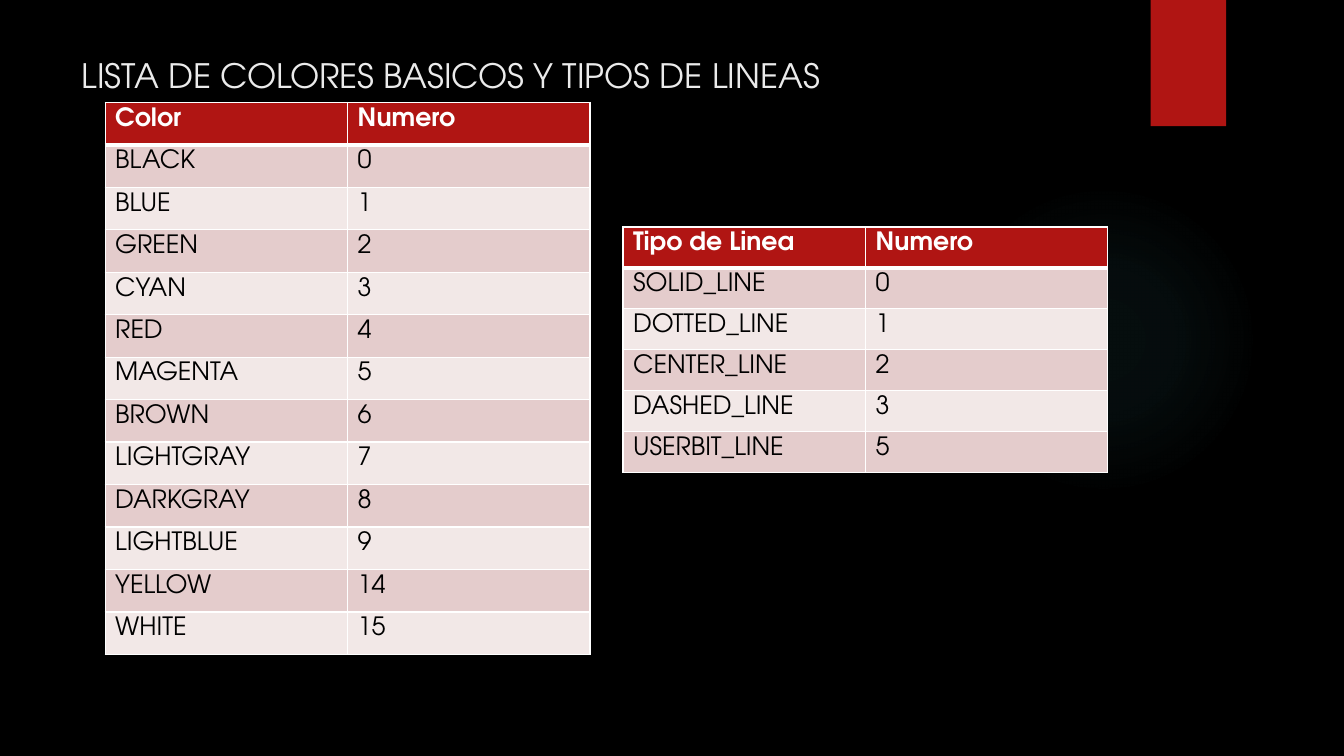
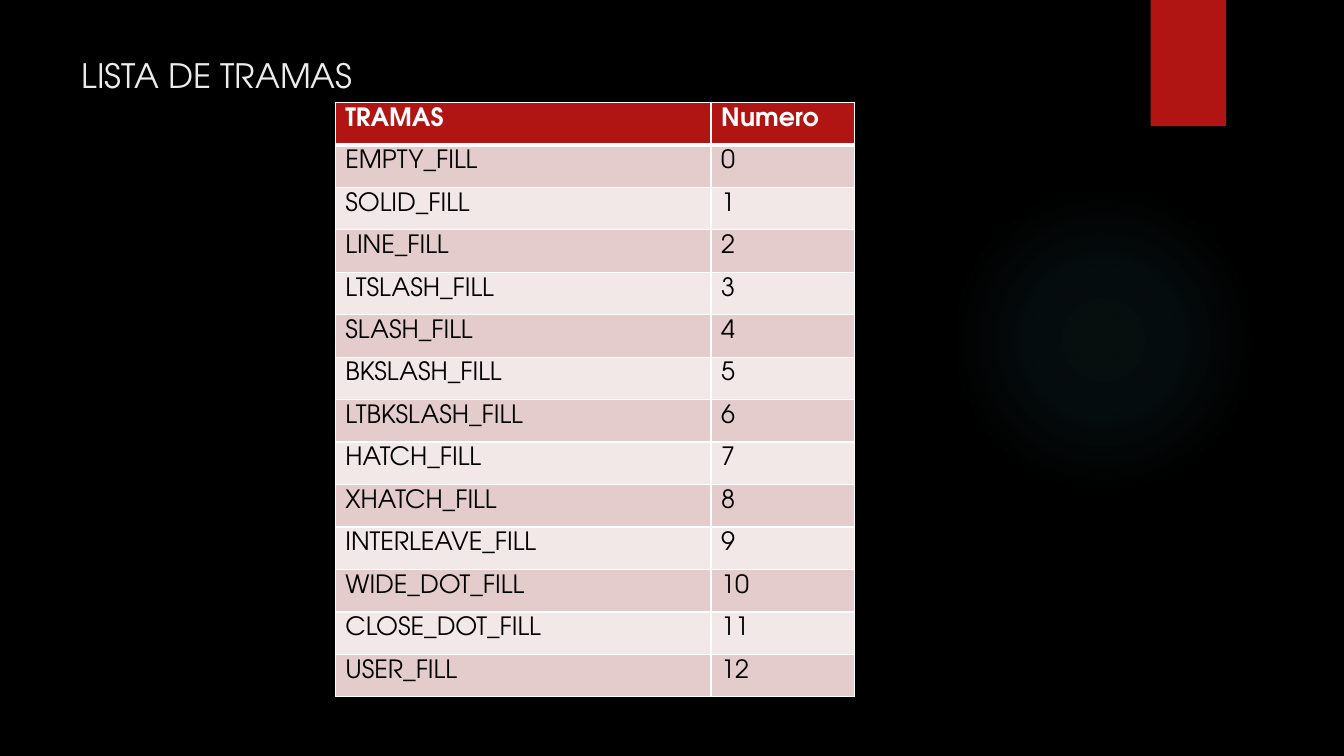
from lxml.etree import SubElement
from pptx import Presentation
from pptx.dml.color import RGBColor
from pptx.enum.shapes import MSO_SHAPE
from pptx.enum.text import MSO_ANCHOR, PP_ALIGN
from pptx.oxml import parse_xml
from pptx.oxml.ns import nsdecls, qn
from pptx.util import Cm, Pt

BLACK = RGBColor(0x00, 0x00, 0x00)
WHITE = RGBColor(0xFF, 0xFF, 0xFF)
TITLE_GRAY = RGBColor(0xEB, 0xEB, 0xEB)
RED = RGBColor(0xB0, 0x15, 0x13)
DARK_BAND = RGBColor(0xE4, 0xCC, 0xCC)
LIGHT_BAND = RGBColor(0xF2, 0xE8, 0xE7)
GLOW = RGBColor(0x50, 0xB9, 0xC1)
GLOW_STOPS = ((0, 7), (36, 6), (69, 0))  # position and opacity, in percent
FONT = "TeX Gyre Adventor"

COLORS = [
    ("Color", "Numero"),
    ("BLACK", "0"),
    ("BLUE", "1"),
    ("GREEN", "2"),
    ("CYAN", "3"),
    ("RED", "4"),
    ("MAGENTA", "5"),
    ("BROWN", "6"),
    ("LIGHTGRAY", "7"),
    ("DARKGRAY", "8"),
    ("LIGHTBLUE", "9"),
    ("YELLOW", "14"),
    ("WHITE", "15"),
]
LINE_TYPES = [
    ("Tipo de Linea", "Numero"),
    ("SOLID_LINE", "0"),
    ("DOTTED_LINE", "1"),
    ("CENTER_LINE", "2"),
    ("DASHED_LINE", "3"),
    ("USERBIT_LINE", "5"),
]
FILL_NAMES = (
    "EMPTY", "SOLID", "LINE", "LTSLASH", "SLASH", "BKSLASH", "LTBKSLASH",
    "HATCH", "XHATCH", "INTERLEAVE", "WIDE_DOT", "CLOSE_DOT", "USER",
)
FILLS = [("TRAMAS", "Numero")] + [
    (f"{name}_FILL", str(number)) for number, name in enumerate(FILL_NAMES)
]


def style_font(font, size, color, bold=False):
    font.name = FONT
    font.size = Pt(size)
    font.bold = bold
    font.color.rgb = color


def add_plain_shape(page, kind, left, top, width, height):
    shape = page.shapes.add_shape(kind, Cm(left), Cm(top), Cm(width), Cm(height))
    shape.shadow.inherit = False
    shape.line.fill.background()
    return shape


def add_glow(page, left, top, size):
    glow = add_plain_shape(page, MSO_SHAPE.OVAL, left, top, size, size)
    stops = "".join(
        f'<a:gs pos="{position * 1000}"><a:srgbClr val="{GLOW}">'
        f'<a:alpha val="{opacity * 1000}"/></a:srgbClr></a:gs>'
        for position, opacity in GLOW_STOPS
    )
    gradient = parse_xml(
        f'<a:gradFill {nsdecls("a")}><a:gsLst>{stops}</a:gsLst><a:path path="circle">'
        '<a:fillToRect l="50000" t="50000" r="50000" b="50000"/></a:path></a:gradFill>'
    )
    glow.element.spPr.find(qn("a:prstGeom")).addnext(gradient)


def add_page(deck, title_text, title_height):
    """Add a slide with the shared decoration and its title."""
    page = deck.slides.add_slide(deck.slide_layouts[5])
    add_glow(page, 23.9, 4.65, 7.82)
    ribbon = add_plain_shape(page, MSO_SHAPE.RECTANGLE, 29, 0, 1.9, 3.18)
    ribbon.fill.solid()
    ribbon.fill.fore_color.rgb = RED

    title = page.shapes.title
    page.shapes.element.append(title.element)  # bring in front of the decoration
    title.left, title.top = Cm(1.8), Cm(1.25)
    title.width, title.height = Cm(26.14), Cm(title_height)
    title.text_frame.text = title_text
    title.text_frame.vertical_anchor = MSO_ANCHOR.TOP
    para = title.text_frame.paragraphs[0]
    para.alignment = PP_ALIGN.LEFT
    style_font(para.font, 24, TITLE_GRAY)
    return page


def add_borders(cell, top, bottom):
    """Draw white borders; top and bottom are widths in points."""
    properties = cell._tc.get_or_add_tcPr()
    for side, width in (("L", 1), ("R", 1), ("T", top), ("B", bottom)):
        line = SubElement(properties, qn(f"a:ln{side}"), w=str(Pt(width)))
        fill = SubElement(line, qn("a:solidFill"))
        SubElement(fill, qn("a:srgbClr"), val=str(WHITE))


def add_list_table(page, rows, left, top, column_widths, row_height):
    table = page.shapes.add_table(
        len(rows), len(column_widths), Cm(left), Cm(top),
        Cm(sum(column_widths)), Cm(row_height * len(rows)),
    ).table
    for column, width in zip(table.columns, column_widths):
        column.width = Cm(width)
    for index, values in enumerate(rows):
        header = index == 0
        band = RED if header else DARK_BAND if index % 2 else LIGHT_BAND
        table.rows[index].height = Cm(row_height)
        for cell, value in zip(table.rows[index].cells, values):
            add_borders(cell, 3 if index == 1 else 1, 3 if header else 1)
            cell.fill.solid()
            cell.fill.fore_color.rgb = band
            cell.margin_top, cell.margin_bottom = Cm(0.13), 0
            cell.text = value
            style_font(cell.text_frame.paragraphs[0].font, 18,
                       WHITE if header else BLACK, header)


def main():
    deck = Presentation()
    deck.slide_width, deck.slide_height = Cm(33.87), Cm(19.05)
    background = deck.slide_master.background.fill
    background.solid()
    background.fore_color.rgb = BLACK

    page = add_page(deck, "LISTA DE COLORES BASICOS Y TIPOS DE LINEAS", 2.06)
    add_list_table(page, COLORS, 2.65, 2.58, (6.11, 6.11), 1.07)
    add_list_table(page, LINE_TYPES, 15.7, 5.72, (6.11, 6.11), 1.03)

    page = add_page(deck, "LISTA DE TRAMAS", 1.32)
    add_list_table(page, FILLS, 8.45, 2.58, (9.47, 3.62), 1.07)
    deck.save("out.pptx")


if __name__ == "__main__":
    main()
